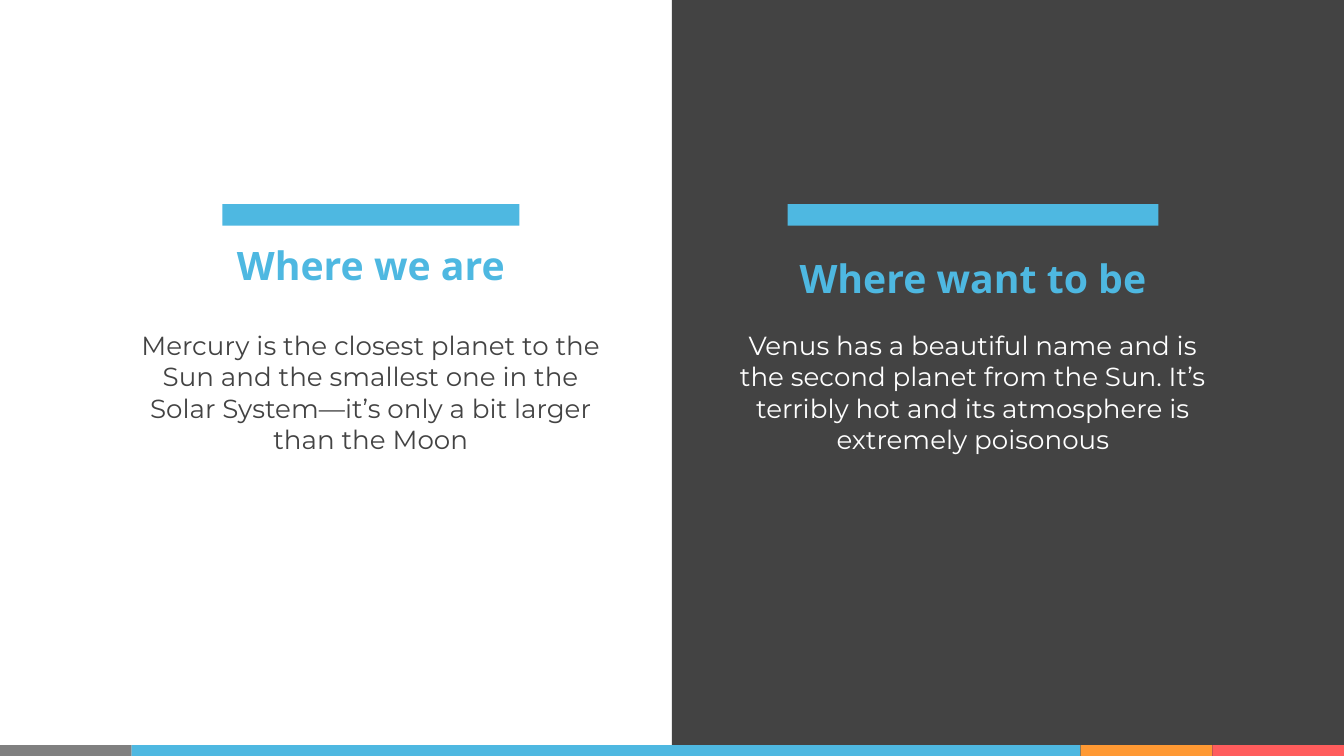
import pptx
import pptx.dml.color
import pptx.enum.shapes
import pptx.enum.text
import pptx.util
from dataclasses import dataclass

Inches = pptx.util.Inches


@dataclass(frozen=True)
class Theme:
    dark: str = "434343"
    light: str = "FFFFFF"
    blue: str = "4EB8E1"
    gray: str = "808080"
    orange: str = "FF9933"
    red: str = "FF5D5D"
    heading_font: str = "Open Sans"
    body_font: str = "Montserrat"
    heading_size: int = 21
    body_size: int = 14


THEME = Theme()
WIDTH = 10
HEIGHT = WIDTH * 9 / 16
COLUMN_WIDTH = 3.96
BAR_TOP, BAR_HEIGHT = 1.52, 0.16
BODY_TOP, BODY_HEIGHT = 2.35, 1.84
PANEL_BLEED = 0.01
FOOTER_HEIGHT = 0.08
FOOTER_END = 0.98
FOOTER = [
    (FOOTER_END, THEME.gray),
    (WIDTH - 3 * FOOTER_END, THEME.blue),
    (FOOTER_END, THEME.orange),
    (FOOTER_END, THEME.red),
]

COLUMNS = [
    {
        "heading": "Where we are",
        "body": ["Mercury is the closest planet to the", "Sun and the smallest one in the",
                 "Solar System—it’s only a bit larger", "than the Moon"],
        "left": 0.78, "heading_top": 1.71, "heading_height": 0.52,
        "bar_width": 2.21, "body_color": THEME.dark, "is_title": True,
    },
    {
        "heading": "Where want to be",
        "body": ["Venus has a beautiful name and is", "the second planet from the Sun. It’s",
                 "terribly hot and its atmosphere is", "extremely poisonous"],
        "left": 5.26, "heading_top": 1.72, "heading_height": 0.69,
        "bar_width": 2.76, "body_color": THEME.light, "is_title": False,
    },
]


def rgb(color):
    return pptx.dml.color.RGBColor.from_string(color)


def add_block(slide, left, top, width, height, color):
    shape = slide.shapes.add_shape(
        pptx.enum.shapes.MSO_SHAPE.RECTANGLE,
        Inches(left), Inches(top), Inches(width), Inches(height))
    shape.shadow.inherit = False
    shape.fill.solid()
    shape.fill.fore_color.rgb = rgb(color)
    shape.line.fill.background()


def write(shape, box, lines, anchor, font_name, size, color, bold):
    shape.left, shape.top, shape.width, shape.height = map(Inches, box)
    frame = shape.text_frame
    frame.text = "\n".join(lines)
    frame.word_wrap = True
    frame.auto_size = pptx.enum.text.MSO_AUTO_SIZE.NONE
    frame.vertical_anchor = anchor
    frame.margin_left = frame.margin_right = Inches(0.1)
    frame.margin_top = frame.margin_bottom = Inches(0.1)
    for paragraph in frame.paragraphs:
        paragraph.alignment = pptx.enum.text.PP_ALIGN.CENTER
        paragraph.line_spacing = 1.0
        paragraph.space_before = pptx.util.Pt(0)
        for run in paragraph.runs:
            run.font.name = font_name
            run.font.size = pptx.util.Pt(size)
            run.font.bold = bold
            run.font.color.rgb = rgb(color)


def add_column(slide, column):
    left = column["left"]
    add_block(slide, left + (COLUMN_WIDTH - column["bar_width"]) / 2, BAR_TOP,
              column["bar_width"], BAR_HEIGHT, THEME.blue)
    heading = slide.shapes.title if column["is_title"] else slide.shapes.add_textbox(0, 0, 0, 0)
    write(heading, (left, column["heading_top"], COLUMN_WIDTH, column["heading_height"]),
          [column["heading"]], pptx.enum.text.MSO_ANCHOR.MIDDLE,
          THEME.heading_font, THEME.heading_size, THEME.blue, True)
    body = slide.shapes.add_textbox(0, 0, 0, 0)
    write(body, (left, BODY_TOP, COLUMN_WIDTH, BODY_HEIGHT),
          column["body"], pptx.enum.text.MSO_ANCHOR.TOP,
          THEME.body_font, THEME.body_size, column["body_color"], False)


def main():
    presentation = pptx.Presentation()
    presentation.slide_width = Inches(WIDTH)
    presentation.slide_height = Inches(HEIGHT)
    slide = presentation.slides.add_slide(presentation.slide_layouts[5])
    slide.background.fill.solid()
    slide.background.fill.fore_color.rgb = rgb(THEME.light)

    add_block(slide, WIDTH / 2, -PANEL_BLEED, WIDTH / 2, HEIGHT + 2 * PANEL_BLEED, THEME.dark)
    footer_left = 0
    for width, color in FOOTER:
        add_block(slide, footer_left, HEIGHT - FOOTER_HEIGHT, width, FOOTER_HEIGHT, color)
        footer_left += width
    for column in COLUMNS:
        add_column(slide, column)
    presentation.save("out.pptx")


if __name__ == "__main__":
    main()
